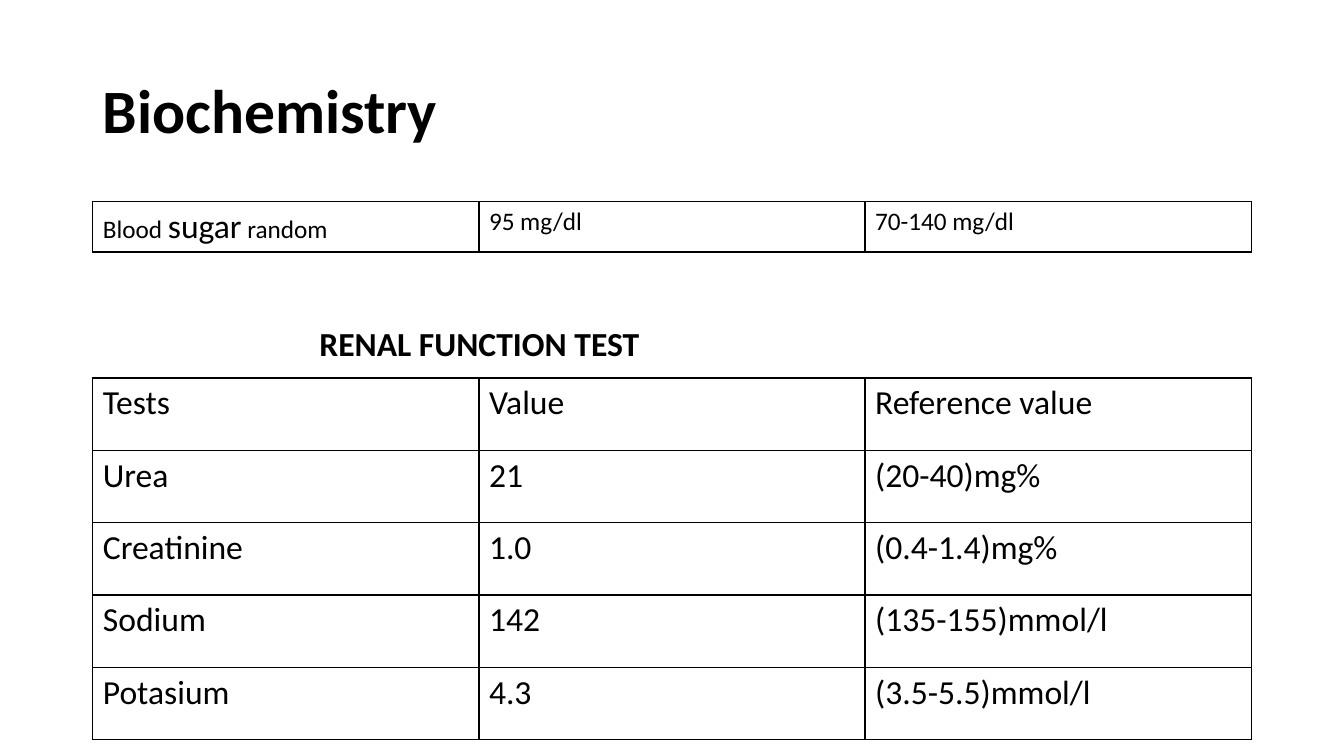
from dataclasses import dataclass

from lxml import etree
from pptx import Presentation
from pptx import util as u
from pptx.dml.color import RGBColor
from pptx.enum import text
from pptx.oxml.ns import qn

FONT = "Calibri"
BLACK = "000000"
LEFT, WIDTH = 0.92, 11.5
COLUMN_WIDTH = 3.83


@dataclass
class Heading:
    words: str
    left: float
    top: float
    width: float
    height: float
    size: int
    wrap: bool
    fit: text.MSO_AUTO_SIZE
    anchor: text.MSO_ANCHOR
    line_spacing: float


@dataclass
class Results:
    top: float
    height: float
    row_height: float
    size: int
    rows: list[tuple[str, ...]]


HEADINGS = [
    Heading("Biochemistry", LEFT, 0.4, WIDTH, 1.45, 44, True,
            text.MSO_AUTO_SIZE.NONE, text.MSO_ANCHOR.MIDDLE, 0.9),
    Heading("RENAL FUNCTION TEST", 3.07, 3.15, 3.4, 0.5, 24, False,
            text.MSO_AUTO_SIZE.SHAPE_TO_FIT_TEXT, text.MSO_ANCHOR.TOP, 1.0),
]
BLOOD_SUGAR = Results(2, 4.76, 0.41, 18, [("Blood ", "95 mg/dl", "70-140 mg/dl")])
RENAL_FUNCTION = Results(3.75, 3.59, 0.718, 24, [
    ("Tests", "Value", "Reference value"),
    ("Urea", "21", "(20-40)mg%"),
    ("Creatinine", "1.0", "(0.4-1.4)mg%"),
    ("Sodium", "142", "(135-155)mmol/l"),
    ("Potasium", "4.3", "(3.5-5.5)mmol/l"),
])


def color(value: str) -> RGBColor:
    return RGBColor.from_string(value)


def format_run(run, size: int, bold: bool = False) -> None:
    run.font.name = FONT
    run.font.size = u.Pt(size)
    run.font.bold = bold
    run.font.color.rgb = color(BLACK)


def draw_heading(slide, heading: Heading) -> None:
    box = slide.shapes.add_textbox(u.Inches(heading.left), u.Inches(heading.top),
                                   u.Inches(heading.width), u.Inches(heading.height))
    frame = box.text_frame
    frame.text = heading.words
    frame.word_wrap = heading.wrap
    frame.auto_size = heading.fit
    frame.vertical_anchor = heading.anchor
    paragraph = frame.paragraphs[0]
    paragraph.line_spacing = heading.line_spacing
    format_run(paragraph.runs[0], heading.size, bold=True)


def outline_cell(cell) -> None:
    """Clear the cell's fill and rule all four sides."""
    cell.fill.background()
    properties = cell._tc.get_or_add_tcPr()
    for position, side in enumerate(("lnL", "lnR", "lnT", "lnB")):
        line = etree.Element(qn(f"a:{side}"), w=str(u.Pt(1)))
        fill = etree.SubElement(line, qn("a:solidFill"))
        etree.SubElement(fill, qn("a:srgbClr"), val=BLACK)
        properties.insert(position, line)


def draw_results(slide, results: Results):
    graphic = slide.shapes.add_table(
        len(results.rows), len(results.rows[0]), u.Inches(LEFT), u.Inches(results.top),
        u.Inches(WIDTH), u.Inches(results.height))
    table = graphic.table
    table.first_row = table.horz_banding = False
    for column in table.columns:
        column.width = u.Inches(COLUMN_WIDTH)
    for row, values in zip(table.rows, results.rows):
        row.height = u.Inches(results.row_height)
        for cell, value in zip(row.cells, values):
            cell.text_frame.text = value
            format_run(cell.text_frame.paragraphs[0].runs[0], results.size)
            outline_cell(cell)
    graphic.height = u.Inches(results.height)
    return table


def main() -> None:
    deck = Presentation()
    deck.slide_width, deck.slide_height = u.Inches(13.33), u.Inches(7.5)
    slide = deck.slides.add_slide(deck.slide_layouts[6])
    for heading in HEADINGS:
        draw_heading(slide, heading)
    blood_sugar = draw_results(slide, BLOOD_SUGAR)
    test_name = blood_sugar.cell(0, 0).text_frame.paragraphs[0]
    for words, size in (("sugar", 24), (" random", 18)):
        run = test_name.add_run()
        run.text = words
        format_run(run, size)
    draw_results(slide, RENAL_FUNCTION)
    deck.save("out.pptx")


if __name__ == "__main__":
    main()
